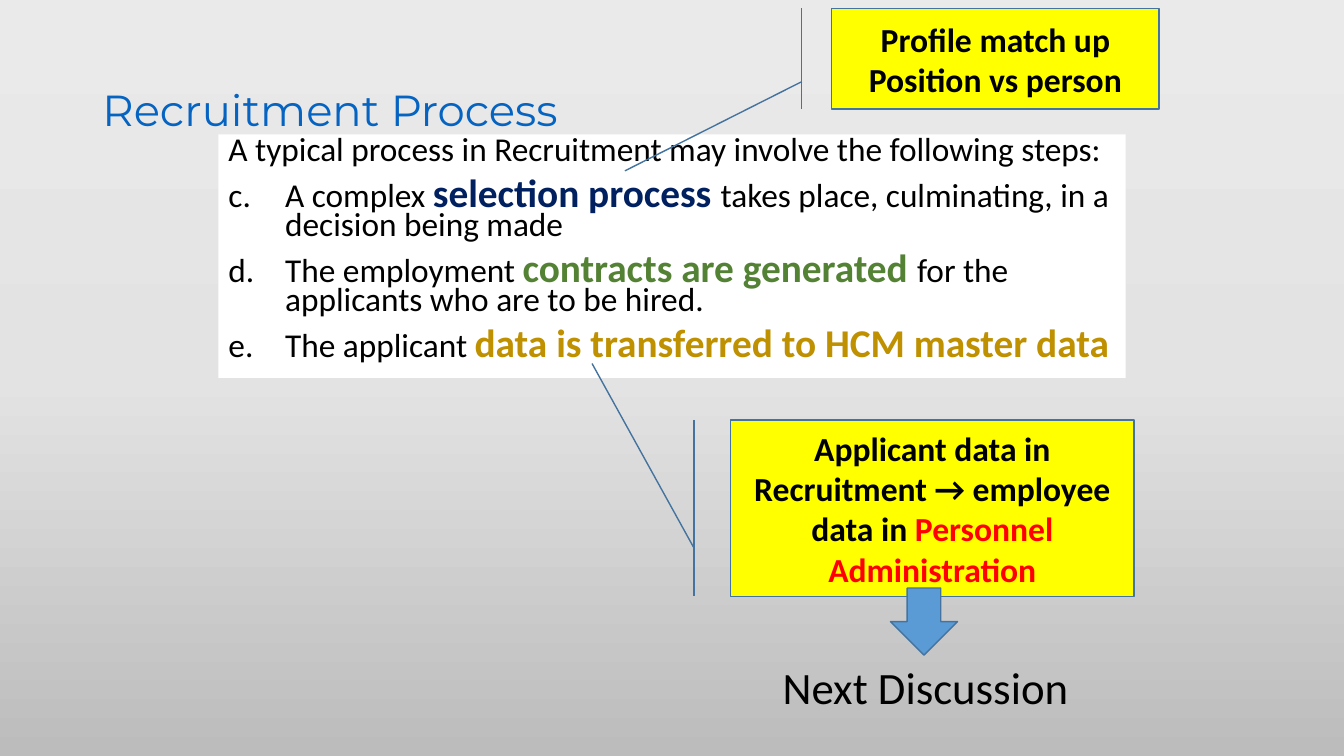
from copy import deepcopy

from lxml.etree import SubElement
from pptx import Presentation
from pptx.dml.color import RGBColor
from pptx.enum.shapes import MSO_SHAPE
from pptx.enum.text import MSO_ANCHOR, MSO_AUTO_SIZE, PP_ALIGN
from pptx.oxml.ns import qn
from pptx.util import Pt

EMU_PER_PX = 9525
FIRST_LETTER = 3
STEPS = [
    ("A complex ", "selection process ", "002060",
     "takes place, culminating, in a decision being made"),
    ("The employment ", "contracts are generated ", "548235",
     "for the applicants who are to be hired."),
    ("The applicant ", "data is transferred to HCM master data", "BF9000", ""),
]


def px(length):
    """Turn px into EMU."""
    return round(length * EMU_PER_PX)


def color(value):
    """Turn a hex string into a colour."""
    return RGBColor.from_string(value)


def place(shape, box):
    """Move a shape to a box of left, top, width and height."""
    shape.left, shape.top, shape.width, shape.height = map(px, box)


def style(font, size, name="Calibri", fill="000000", bold=False):
    """Set the size, typeface, colour and weight of a font."""
    font.size, font.name, font.bold = Pt(size), name, bold
    font.color.rgb = color(fill)


def add_run(paragraph, text):
    """Append a run of text and return it."""
    run = paragraph.add_run()
    run.text = text
    return run


def paint_background(slide, colors):
    """Fill the background with evenly spaced colours from top to bottom."""
    fill = slide.background.fill
    fill.gradient()
    fill.gradient_angle = 270
    first_stop = slide.element.xpath(".//a:gs")[0]
    for _ in colors[2:]:
        first_stop.addnext(deepcopy(first_stop))
    for index, (stop, value) in enumerate(zip(fill.gradient_stops, colors)):
        stop.position = index / (len(colors) - 1)
        stop.color.rgb = color(value)


def fill_title(title, box, text):
    """Place and format the title."""
    place(title, box)
    title.text_frame.text = text
    title.text_frame.vertical_anchor = MSO_ANCHOR.MIDDLE
    title.text_frame.auto_size = MSO_AUTO_SIZE.NONE
    paragraph = title.text_frame.paragraphs[0]
    paragraph.alignment = PP_ALIGN.LEFT
    paragraph.line_spacing = 0.9
    style(paragraph.font, 31, "Montserrat", "0563C1")


def format_list_paragraph(paragraph, indent, lettered):
    """Set spacing, hanging indent and lettering of a list paragraph."""
    paragraph.line_spacing = 0.7
    paragraph.space_before = Pt(10)
    style(paragraph.font, 23.8)
    properties = paragraph._p.get_or_add_pPr()
    properties.set("marL", str(px(indent)))
    properties.set("indent", str(-px(indent)))
    bullet = SubElement(properties, qn("a:buAutoNum" if lettered else "a:buNone"))
    if lettered:
        bullet.set("type", "alphaLcPeriod")
        bullet.set("startAt", str(FIRST_LETTER))
    properties.append(properties.find(qn("a:defRPr")))


def fill_steps(body, box, intro, steps):
    """Place the white panel with its intro and lettered steps."""
    place(body, box)
    body.fill.solid()
    body.fill.fore_color.rgb = color("FFFFFF")
    frame = body.text_frame
    frame.auto_size = MSO_AUTO_SIZE.NONE
    frame.text = intro
    format_list_paragraph(frame.paragraphs[0], 24, False)
    for start, emphasis, emphasis_color, end in steps:
        paragraph = frame.add_paragraph()
        format_list_paragraph(paragraph, 54, True)
        add_run(paragraph, start)
        style(add_run(paragraph, emphasis).font, 28.1, fill=emphasis_color, bold=True)
        if end:
            add_run(paragraph, end)


def add_filled_shape(slide, kind, box, fill):
    """Add a flat outlined preset shape."""
    shape = slide.shapes.add_shape(kind, *map(px, box))
    shape.shadow.inherit = False
    shape.fill.solid()
    shape.fill.fore_color.rgb = color(fill)
    shape.line.color.rgb = color("43739E")
    shape.line.width = Pt(1)
    return shape


def add_callout(slide, box, target, lines):
    """Add a yellow callout whose leader ends at a target of relative y and x."""
    callout = add_filled_shape(
        slide, MSO_SHAPE.LINE_CALLOUT_1_BORDER_AND_ACCENT_BAR, box, "FFFF00")
    for index, value in enumerate((0.727, -0.091, *target)):
        callout.adjustments[index] = value
    frame = callout.text_frame
    frame.word_wrap = True
    frame.vertical_anchor = MSO_ANCHOR.MIDDLE
    for index, runs in enumerate(lines):
        paragraph = frame.add_paragraph() if index else frame.paragraphs[0]
        paragraph.alignment = PP_ALIGN.CENTER
        for text, fill in runs:
            style(add_run(paragraph, text).font, 24, fill=fill, bold=True)


def add_next_step(slide, box, text):
    """Add a caption with a down arrow above it."""
    left, top, width, height = box
    caption = slide.shapes.add_textbox(*map(px, box))
    caption.text_frame.word_wrap = False
    caption.text_frame.auto_size = MSO_AUTO_SIZE.SHAPE_TO_FIT_TEXT
    caption.text_frame.text = text
    style(caption.text_frame.paragraphs[0].font, 32)
    add_filled_shape(slide, MSO_SHAPE.DOWN_ARROW,
                     (left + 112, top - 64, 64, 64), "5B9BD5")


def build_recruitment_slide(presentation):
    """Build the recruitment process slide."""
    slide = presentation.slides.add_slide(presentation.slide_layouts[1])
    paint_background(slide, ["EBEAEA", "E4E3E3", "BDBCBC"])
    fill_title(slide.shapes.title, (88, 38, 1104, 139), "Recruitment Process")
    fill_steps(slide.placeholders[1], (208, 128, 864, 232),
               "A typical process in Recruitment may involve the following steps:",
               STEPS)
    add_callout(slide, (792, 8, 312, 96), (1.612, -0.631),
                [[("Profile match up", "000000")],
                 [("Position vs person", "000000")]])
    add_callout(slide, (696, 400, 384, 168), (-0.32, -0.344),
                [[("Applicant data in Recruitment → employee data in ", "000000"),
                  ("Personnel Administration", "FF0000")]])
    add_next_step(slide, (736, 624, 304, 61), "Next Discussion")


def main():
    """Create and save the presentation."""
    presentation = Presentation()
    presentation.slide_width, presentation.slide_height = px(1280), px(720)
    build_recruitment_slide(presentation)
    presentation.save("out.pptx")


if __name__ == "__main__":
    main()
